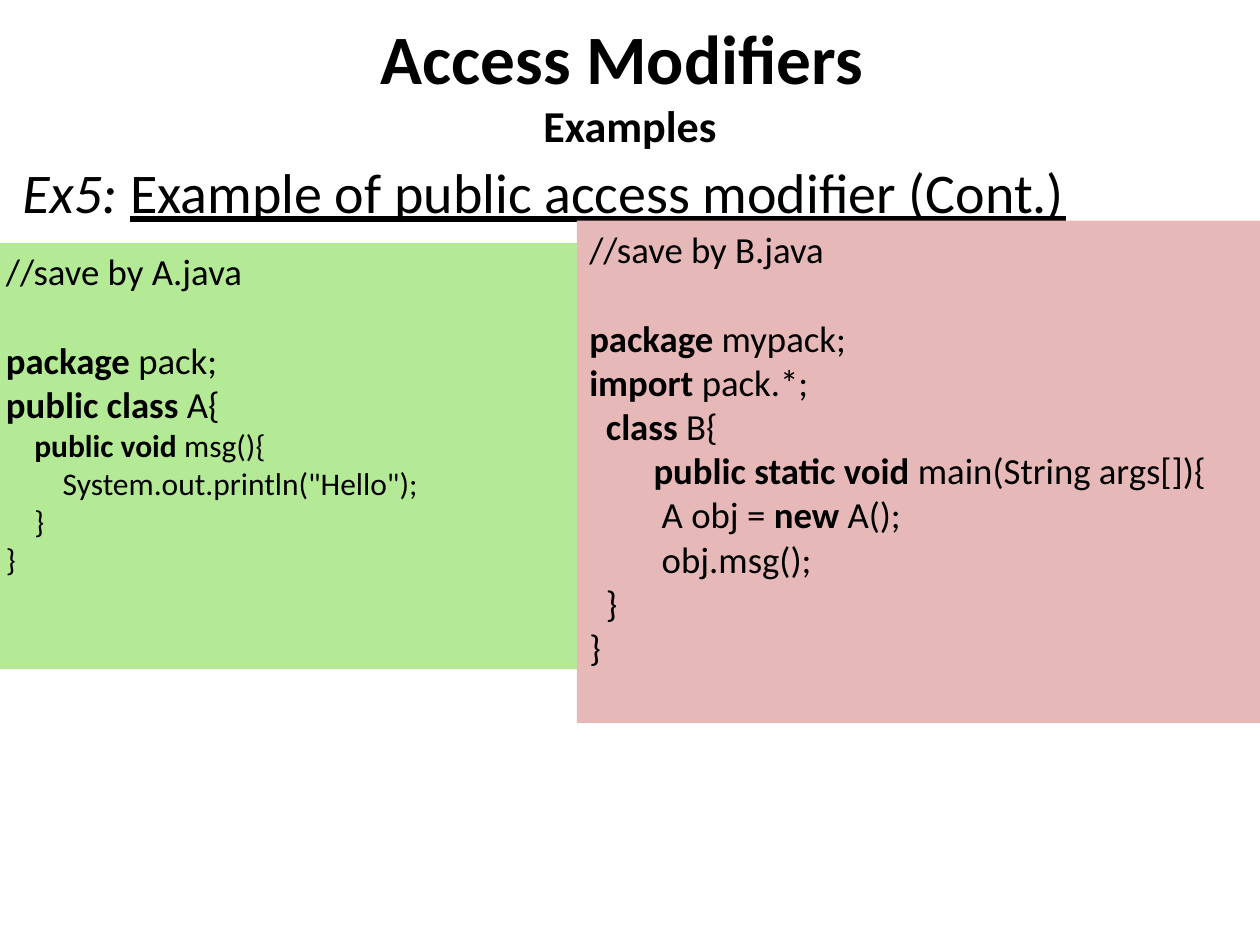
from pptx import Presentation
from pptx.dml.color import RGBColor
from pptx.enum.shapes import MSO_SHAPE
from pptx.enum.text import MSO_ANCHOR, MSO_AUTO_SIZE, PP_ALIGN
from pptx.util import Cm, Pt

RECT = MSO_SHAPE.RECTANGLE
TOP, MIDDLE = MSO_ANCHOR.TOP, MSO_ANCHOR.MIDDLE
LEFT, CENTER = PP_ALIGN.LEFT, PP_ALIGN.CENTER
FIXED = MSO_AUTO_SIZE.NONE

SIZE, SMALL = 21, 18
GAP = 25.6  # height of one empty line of code
STEP = 0.96

# Each line: text with |bold| parts, then its format where it differs
CODE_A = [
    ("//save by A.java", {}),
    ("|package| pack;", {"gap": GAP}),
    ("|public class| A{", {}),
    ("|    public void |msg(){", {"size": SMALL}),
    ('        System.out.println("Hello");', {"size": SMALL}),
    ("    }", {"size": SMALL}),
    ("}", {"size": SMALL}),
]
CODE_B = [
    ("//save by B.java", {}),
    ("|package |mypack;", {"gap": GAP}),
    ("|import| pack.*;", {}),
    ("  |class| B{", {}),
    ("  |public static void| main(String args[]){", {"indent": STEP}),
    ("   A obj = |new| A();", {"indent": STEP}),
    ("   obj.msg();", {"indent": STEP}),
    ("  }", {}),
    ("}", {}),
]


def rgb(code):
    return RGBColor.from_string(code)


def put(item, values):
    for name, value in values.items():
        setattr(item, name, value)


def add_run(para, text, size, **style):
    run = para.add_run()
    run.text = text
    put(run.font, {"name": "Calibri", "size": Pt(size), **style})
    run.font.color.rgb = rgb("000000")


def place(shape, box):
    put(shape, dict(zip(("left", "top", "width", "height"), map(Cm, box))))


def add_title(slide, box):
    title = slide.shapes.title
    place(title, box)
    frame = title.text_frame
    # The deep bottom margin lifts the two lines above the box centre
    put(frame, {"auto_size": FIXED, "word_wrap": True,
                "vertical_anchor": MIDDLE, "margin_bottom": Cm(1.63)})
    para = frame.paragraphs[0]
    para.alignment = CENTER
    add_run(para, "Access Modifiers ", 39.6, bold=True)
    para.add_line_break()
    add_run(para, "Examples", 25.2, bold=True)


def add_heading(slide, box):
    shape = slide.shapes.add_textbox(*map(Cm, box))
    frame = shape.text_frame
    put(frame, {"word_wrap": True, "margin_top": Cm(0.2)})
    para = frame.paragraphs[0]
    add_run(para, "Ex5: ", 32, italic=True)
    add_run(para, "Example of public access modifier (Cont.)", 32,
            underline=True)


def add_code(slide, box, fill, lines):
    shape = slide.shapes.add_shape(RECT, *map(Cm, box))
    shape.shadow.inherit = False
    shape.fill.solid()
    shape.fill.fore_color.rgb = rgb(fill)
    shape.line.fill.background()
    frame = shape.text_frame
    put(frame, {"word_wrap": True, "vertical_anchor": TOP})
    for row, (text, form) in enumerate(lines):
        para = frame.add_paragraph() if row else frame.paragraphs[0]
        para.alignment = LEFT
        if "gap" in form:
            para.space_before = Pt(form["gap"])
        if "indent" in form:
            props = para._p.get_or_add_pPr()
            props.set("marL", str(Cm(form["indent"])))
            props.set("indent", "0")
        for part, piece in enumerate(text.split("|")):
            if piece:
                add_run(para, piece, form.get("size", SIZE),
                        bold=part % 2 == 1)


def main():
    deck = Presentation()
    put(deck, {"slide_width": Cm(25.4), "slide_height": Cm(19.05)})
    slide = deck.slides.add_slide(deck.slide_layouts[5])
    add_title(slide, (1.27, 0.84, 22.86, 3.18))
    add_heading(slide, (0.2, 2.97, 25.2, 16.08))
    add_code(slide, (-0.13, 4.9, 11.76, 8.59), "B4EA96", CODE_A)
    add_code(slide, (11.63, 4.45, 13.77, 10.13), "E6B9B8", CODE_B)
    deck.save("out.pptx")


if __name__ == "__main__":
    main()
